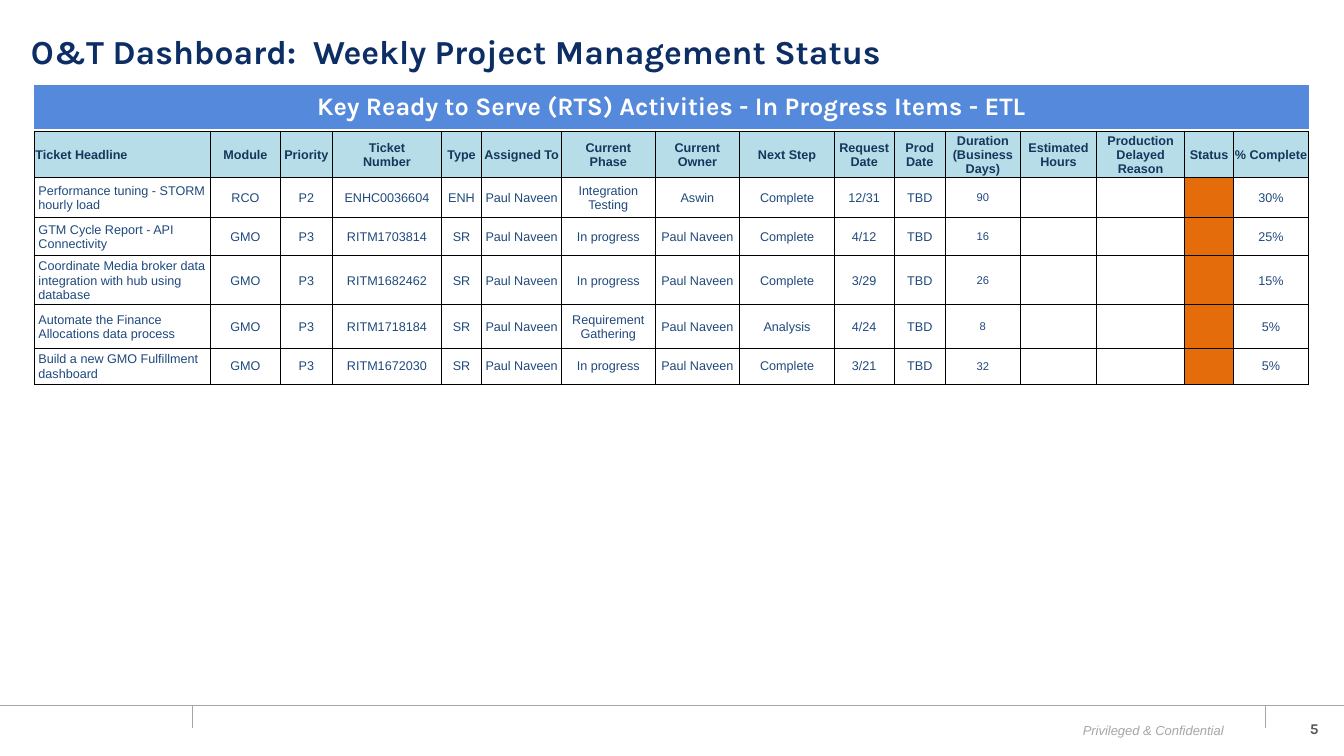
from lxml.etree import SubElement
from pptx import Presentation
from pptx.dml.color import RGBColor
from pptx.enum.shapes import MSO_CONNECTOR as Connector
from pptx.enum.text import MSO_ANCHOR as Anchor, PP_ALIGN as Align
from pptx.oxml.ns import qn
from pptx.util import Cm, Pt

NAVY = RGBColor(0x0C, 0x2E, 0x65)
BANNER_BLUE = RGBColor(0x55, 0x89, 0xDB)
HEADER_BLUE = RGBColor(0xB7, 0xDE, 0xE8)
HEADER_TEXT = RGBColor(0x16, 0x36, 0x5C)
BODY_TEXT = RGBColor(0x1F, 0x49, 0x7D)
STATUS_ORANGE = RGBColor(0xE4, 0x6C, 0x0A)
FOOTER_GREY = RGBColor(0xA6, 0xA6, 0xA6)
NUMBER_GREY = RGBColor(0x59, 0x59, 0x59)
WHITE = RGBColor(0xFF, 0xFF, 0xFF)
BLACK = RGBColor(0, 0, 0)

TITLE = {"name": "Karla", "size": Pt(24), "bold": True, "color": NAVY}
BANNER = {"name": "Karla", "size": Pt(18), "bold": True, "color": WHITE}
HEADER = {"name": "Arial", "size": Pt(9), "bold": True, "color": HEADER_TEXT}
BODY = {"name": "Arial", "size": Pt(9), "bold": False, "color": BODY_TEXT}
DURATION = {**BODY, "size": Pt(8)}
FOOTER = {"name": "Arial", "size": Pt(9.3), "italic": True, "color": FOOTER_GREY}
NUMBER = {"name": "Karla", "size": Pt(10.7), "bold": True, "color": NUMBER_GREY}

TIGHT = {"margin_left": Cm(0.03), "margin_right": Cm(0.03),
         "margin_top": Cm(0.03), "margin_bottom": Cm(0)}
ALL_SIDES = ("lnL", "lnR", "lnT", "lnB")

COLUMNS = [
    ("Ticket Headline", 4.45), ("Module", 1.75), ("Priority", 1.32),
    ("Ticket\vNumber", 2.74), ("Type", 1.02), ("Assigned To", 2.01),
    ("Current\nPhase", 2.36), ("Current Owner", 2.13), ("Next Step", 2.39),
    ("Request Date", 1.5), ("Prod Date", 1.3), ("Duration (Business Days)", 1.88),
    ("Estimated Hours", 1.93), ("Production Delayed Reason", 2.21),
    ("Status", 1.24), ("% Complete", 1.88),
]
ROW_HEIGHTS = [0.81, 0.99, 0.97, 1.24, 1.09, 0.91]
TICKETS = [
    ("Performance tuning - STORM hourly load", "RCO", "P2", "ENHC0036604", "ENH",
     "Paul Naveen", "Integration Testing", "Aswin", "Complete", "12/31", "TBD",
     "90", "", "", "", "30%"),
    ("GTM Cycle Report - API Connectivity", "GMO", "P3", "RITM1703814", "SR",
     "Paul Naveen", "In progress", "Paul Naveen", "Complete", "4/12", "TBD",
     "16", "", "", "", "25%"),
    ("Coordinate Media broker data integration with hub using database", "GMO", "P3",
     "RITM1682462", "SR", "Paul Naveen", "In progress", "Paul Naveen", "Complete",
     "3/29", "TBD", "26", "", "", "", "15%"),
    ("Automate the Finance Allocations data process", "GMO", "P3", "RITM1718184",
     "SR", "Paul Naveen", "Requirement Gathering", "Paul Naveen", "Analysis",
     "4/24", "TBD", "8", "", "", "", "5%"),
    ("Build a new GMO Fulfillment dashboard", "GMO", "P3", "RITM1672030", "SR",
     "Paul Naveen", "In progress", "Paul Naveen", "Complete", "3/21", "TBD",
     "32", "", "", "", "5%"),
]


def set_attributes(target, values):
    """Set every attribute named in values on the target."""
    for name, value in values.items():
        setattr(target, name, value)


def write_text(frame, text, style, alignment):
    """Write text into a frame with one font style and alignment."""
    frame.text = text
    font_values = {name: value for name, value in style.items() if name != "color"}
    for paragraph in frame.paragraphs:
        paragraph.alignment = alignment
        for run in paragraph.runs:
            set_attributes(run.font, font_values)
            run.font.color.rgb = style["color"]


def add_text(slide, box, text, style, alignment, **frame_values):
    """Add a text box whose position and size are given in centimetres."""
    shape = slide.shapes.add_textbox(*map(Cm, box))
    write_text(shape.text_frame, text, style, alignment)
    set_attributes(shape.text_frame, frame_values)
    return shape


def add_rule(slide, start, end):
    """Add a thin grey footer line."""
    line = slide.shapes.add_connector(Connector.STRAIGHT, *map(Cm, start + end))
    line.line.color.rgb = FOOTER_GREY
    line.line.width = Pt(0.25)
    SubElement(line._element.spPr, qn("a:effectLst"))


def add_plain_table(slide, left, top, widths, heights):
    """Add a table without banding, sized by its columns and rows."""
    table = slide.shapes.add_table(
        len(heights), len(widths), Cm(left), Cm(top),
        Cm(sum(widths)), Cm(sum(heights))).table
    set_attributes(table, {"first_row": False, "horz_banding": False})
    for column, width in zip(table.columns, widths):
        column.width = Cm(width)
    for row, height in zip(table.rows, heights):
        row.height = Cm(height)
    return table


def set_borders(cell, sides, color, width):
    """Draw solid borders on the given sides of a cell."""
    properties = cell._tc.get_or_add_tcPr()
    for side in sides:
        line = SubElement(properties, qn(f"a:{side}"), w=str(Pt(width)))
        fill = SubElement(line, qn("a:solidFill"))
        SubElement(fill, qn("a:srgbClr"), val=str(color))


def set_fill(cell, color):
    """Fill a cell with a colour, or leave it clear."""
    if color is None:
        cell.fill.background()
    else:
        cell.fill.solid()
        cell.fill.fore_color.rgb = color


def add_banner(slide):
    """Add the blue heading band above the tickets."""
    cell = add_plain_table(slide, 0.84, 2.13, [32.16], [1.14]).cell(0, 0)
    set_borders(cell, ("lnL", "lnB"), WHITE, 1)
    set_fill(cell, BANNER_BLUE)
    cell.vertical_anchor = Anchor.MIDDLE
    write_text(cell.text_frame,
               "Key Ready to Serve (RTS) Activities - In Progress Items - ETL",
               BANNER, Align.CENTER)


def add_ticket_table(slide):
    """Add the ticket table with its header row and status colours."""
    headings, widths = zip(*COLUMNS)
    table = add_plain_table(slide, 0.86, 3.3, widths, ROW_HEIGHTS)
    body_styles = {"Duration (Business Days)": DURATION}
    body_fills = {"Status": STATUS_ORANGE}
    for row, texts in enumerate([headings, *TICKETS]):
        for column, (heading, text) in enumerate(zip(headings, texts)):
            cell = table.cell(row, column)
            is_header = row == 0
            set_borders(cell, ALL_SIDES, BLACK, 0.5)
            set_fill(cell, HEADER_BLUE if is_header else body_fills.get(heading))
            set_attributes(cell, {**TIGHT, "vertical_anchor": Anchor.MIDDLE})
            style = HEADER if is_header else body_styles.get(heading, BODY)
            alignment = Align.CENTER if column else Align.LEFT
            write_text(cell.text_frame, text, style, alignment)
            if column == 0 and not is_header:
                paragraph = cell.text_frame.paragraphs[0]
                paragraph._p.get_or_add_pPr().set("marL", str(Cm(0.08)))


def add_footer(slide):
    """Add the footer lines, the confidentiality note and the page number."""
    add_rule(slide, (0, 17.78), (33.87, 17.78))
    for left in (4.85, 31.88):
        add_rule(slide, (left, 17.78), (left, 18.34))
    add_text(slide, (26.92, 18.08, 4.17, 0.66), "Privileged & Confidential",
             FOOTER, Align.RIGHT, word_wrap=False)
    add_text(slide, (32.44, 18.01, 1.04, 0.71), "5", NUMBER, Align.RIGHT,
             word_wrap=True)


def main():
    """Build the weekly status slide and save it."""
    presentation = Presentation()
    set_attributes(presentation, {"slide_width": Cm(33.87), "slide_height": Cm(19.05)})
    slide = presentation.slides.add_slide(presentation.slide_layouts[6])
    add_footer(slide)
    title = add_text(slide, (0.53, 0.56, 30.48, 1.57),
                     "O&T Dashboard:  Weekly Project Management Status",
                     TITLE, Align.LEFT, word_wrap=True, vertical_anchor=Anchor.MIDDLE)
    title.text_frame.paragraphs[0].line_spacing = 0.9
    add_banner(slide)
    add_ticket_table(slide)
    presentation.save("out.pptx")


if __name__ == "__main__":
    main()
